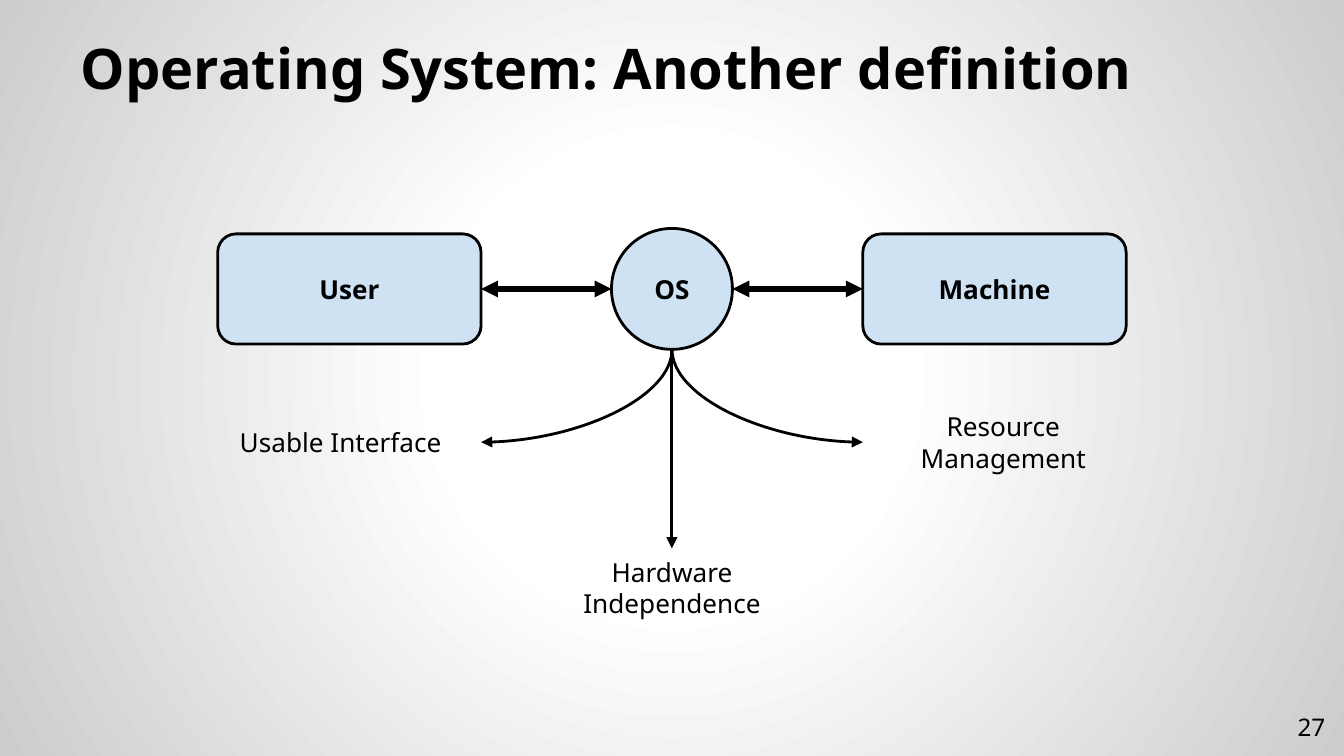
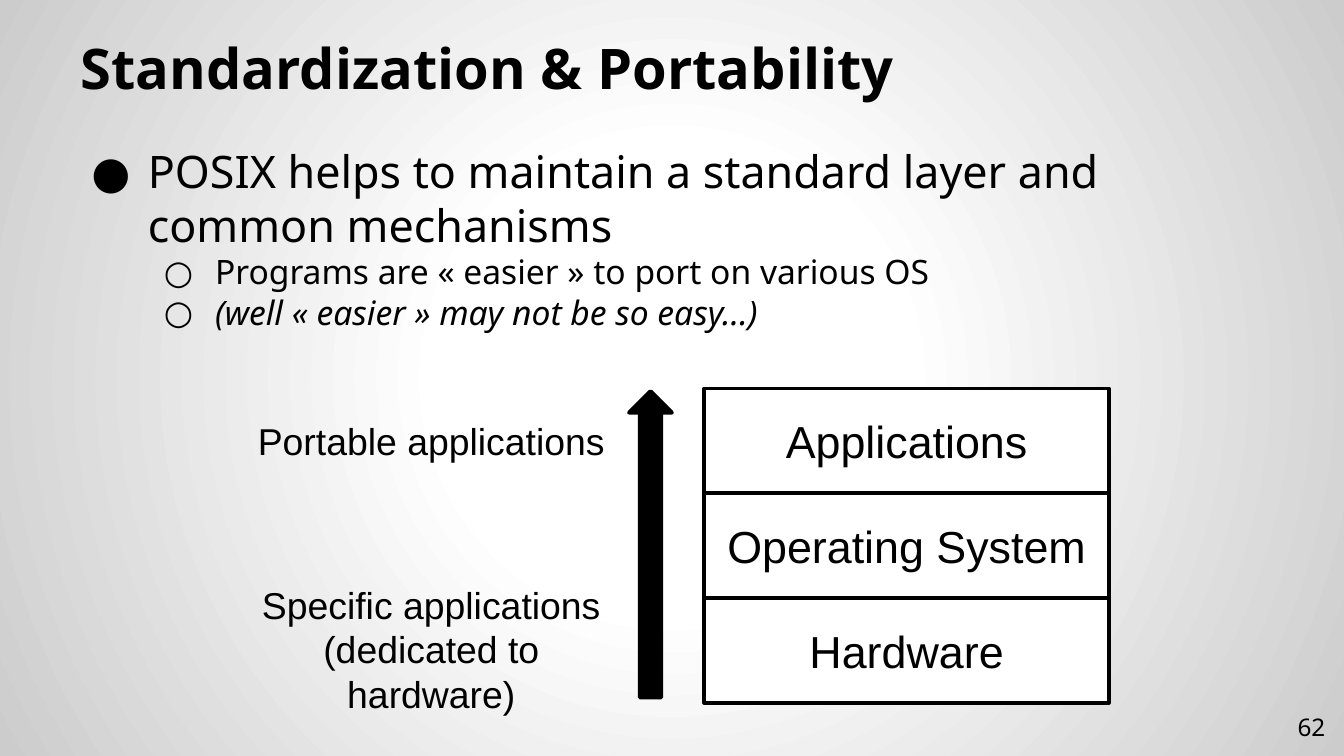
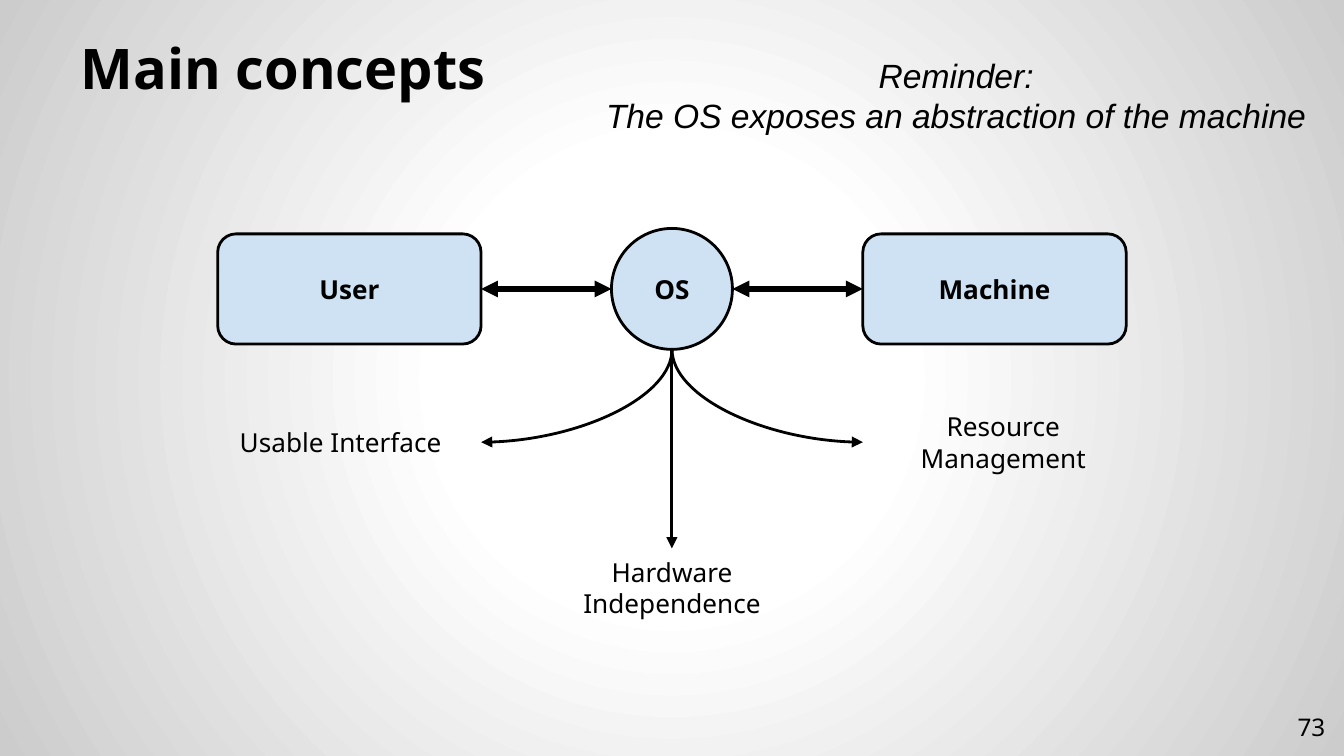
from dataclasses import dataclass

from lxml.etree import SubElement
from pptx import Presentation
from pptx.dml.color import RGBColor
from pptx.enum.shapes import MSO_CONNECTOR, MSO_SHAPE
from pptx.enum.text import MSO_ANCHOR, MSO_AUTO_SIZE, PP_ALIGN
from pptx.oxml import parse_xml
from pptx.oxml.ns import nsdecls, qn
from pptx.util import Inches, Pt


@dataclass(frozen=True)
class Theme:
    ink: str = "000000"
    paper: str = "FFFFFF"
    edge: str = "CCCCCC"
    node: str = "CFE2F3"
    font: str = "Noto Sans"
    diagram_font: str = "Arial"
    title: int = 30
    body: int = 24
    sub_body: int = 18
    note: int = 20
    label: int = 14
    page: int = 13


THEME = Theme()
WIDTH, HEIGHT = 10, 5.625
CENTRE = WIDTH / 2
INSET = 0.1

# Content
SLIDES = [
    {"title": "Operating System: Another definition", "page": "27", "diagram": "concept"},
    {"title": "Standardization & Portability", "page": "62", "diagram": "layers",
     # level, text, italic
     "bullets": [
         (0, "POSIX helps to maintain a standard layer and common mechanisms", False),
         (1, "Programs are « easier » to port on various OS", False),
         (1, "(well « easier » may not be so easy…)", True),
     ]},
    {"title": "Main concepts", "page": "73", "diagram": "concept",
     "reminder": ["Reminder:", "The OS exposes an abstraction of the machine"]},
]
ACTORS = {"left": "User", "hub": "OS", "right": "Machine"}
ROLES = {"left": "Usable Interface", "below": "Hardware Independence",
         "right": "Resource Management"}
LAYERS = ["Applications", "Operating System", "Hardware"]
# top, height, lines
PORTABILITY_NOTES = [
    (3.06, 0.44, ["Portable applications"]),
    (4.28, 1.11, ["Specific applications", "(dedicated to hardware)"]),
]
# marker, hanging indent and type size for each list level
LEVELS = [("●", 0.42, THEME.body), ("○", 0.38, THEME.sub_body)]


# Shared helpers
def color(value):
    return RGBColor.from_string(value)


def box(left, top, width, height):
    return [Inches(value) for value in (left, top, width, height)]


def place(shape, left, top, width, height):
    shape.left, shape.top, shape.width, shape.height = box(left, top, width, height)


def add_run(paragraph, text, size, font=THEME.font, bold=False, italic=False):
    run = paragraph.add_run()
    run.text = text
    run.font.name, run.font.size = font, Pt(size)
    run.font.bold, run.font.italic = bold, italic
    run.font.color.rgb = color(THEME.ink)


def set_frame(frame, anchor=MSO_ANCHOR.MIDDLE, vertical_inset=INSET,
              auto_size=MSO_AUTO_SIZE.NONE):
    frame.word_wrap = True
    frame.auto_size = auto_size
    frame.vertical_anchor = anchor
    frame.margin_left = frame.margin_right = Inches(INSET)
    frame.margin_top = frame.margin_bottom = Inches(vertical_inset)


def write_lines(frame, lines, size, align=PP_ALIGN.CENTER, **style):
    for index, line in enumerate(lines):
        paragraph = frame.add_paragraph() if index else frame.paragraphs[0]
        paragraph.alignment = align
        add_run(paragraph, line, size, **style)


def add_label(slide, bounds, text, size=THEME.label, align=PP_ALIGN.CENTER):
    frame = slide.shapes.add_textbox(*box(*bounds)).text_frame
    set_frame(frame)
    write_lines(frame, [text], size, align)


def add_note(slide, bounds, lines, size, italic=False):
    frame = slide.shapes.add_textbox(*box(*bounds)).text_frame
    set_frame(frame, MSO_ANCHOR.TOP, INSET / 2, MSO_AUTO_SIZE.SHAPE_TO_FIT_TEXT)
    write_lines(frame, lines, size, font=THEME.diagram_font, italic=italic)


def add_block(slide, kind, bounds, fill, line_width):
    shape = slide.shapes.add_shape(kind, *box(*bounds))
    shape.shadow.inherit = False
    shape.fill.solid()
    shape.fill.fore_color.rgb = color(fill)
    shape.line.color.rgb = color(THEME.ink)
    shape.line.width = Pt(line_width)
    return shape


def add_arrow(slide, kind, start, end, line_width, ends):
    connector = slide.shapes.add_connector(
        kind, *[Inches(value) for value in (*start, *end)])
    connector.line.color.rgb = color(THEME.ink)
    connector.line.width = Pt(line_width)
    properties = connector._element.spPr
    line = properties.find(qn("a:ln"))
    for end_name in ends:
        SubElement(line, qn(f"a:{end_name}"), type="triangle")
    SubElement(properties, qn("a:effectLst"))
    return connector


def add_drop_curve(slide, start, end):
    """Curve that leaves its start downwards: a sideways curve, turned upright."""
    across, down = end[0] - start[0], end[1] - start[1]
    middle_x, middle_y = start[0] + across / 2, start[1] + down / 2
    side = -1 if across < 0 else 1
    half_width, half_height = side * down / 2, abs(across) / 2
    connector = add_arrow(slide, MSO_CONNECTOR.CURVE,
                          (middle_x + half_width, middle_y - half_height),
                          (middle_x - half_width, middle_y + half_height),
                          1.5, ["tailEnd"])
    properties = connector._element.spPr
    degrees = 270 if side > 0 else 90
    properties.find(qn("a:xfrm")).set("rot", str(degrees * 60000))
    if across:
        properties.find(qn("a:prstGeom")).set("prst", "curvedConnector2")


# Background, title, list and page number
def set_background(master):
    master.background.fill.solid()
    solid = next(master._element.iter(qn("p:bgPr"))).find(qn("a:solidFill"))
    stops = [(0, THEME.paper), (30, THEME.paper), (100, THEME.edge)]
    stop_xml = "".join(f'<a:gs pos="{share * 1000}"><a:srgbClr val="{value}"/></a:gs>'
                       for share, value in stops)
    gradient = parse_xml(
        f'<a:gradFill {nsdecls("a")} rotWithShape="1"><a:gsLst>{stop_xml}</a:gsLst>'
        '<a:path path="circle"><a:fillToRect l="50000" t="50000" r="50000" b="50000"/>'
        '</a:path></a:gradFill>')
    solid.getparent().replace(solid, gradient)


def add_title(slide, text):
    title = slide.shapes.title
    place(title, 0.5, 0.23, 9, 0.62)
    set_frame(title.text_frame, MSO_ANCHOR.BOTTOM)
    write_lines(title.text_frame, [text], THEME.title, PP_ALIGN.LEFT, bold=True)


def add_bullets(slide, bullets):
    body = slide.placeholders[1]
    place(body, 0.5, 0.97, 9, 4.41)
    frame = body.text_frame
    set_frame(frame, MSO_ANCHOR.TOP)
    for index, (level, text, italic) in enumerate(bullets):
        marker, hanging, size = LEVELS[level]
        paragraph = frame.add_paragraph() if index else frame.paragraphs[0]
        paragraph.level = level
        properties = paragraph._p.get_or_add_pPr()
        properties.set("marL", str(Inches(0.5 * (level + 1))))
        properties.set("indent", str(-Inches(hanging)))
        bullet_color = SubElement(properties, qn("a:buClr"))
        SubElement(bullet_color, qn("a:srgbClr"), val=THEME.ink)
        SubElement(properties, qn("a:buFont"), typeface=THEME.font)
        SubElement(properties, qn("a:buChar"), char=marker)
        paragraph.space_before = Pt(0)
        add_run(paragraph, text, size, italic=italic)


# Diagrams
def draw_concept(slide):
    axis, diameter, gap = 2.15, 0.9, 0.97
    node_width, node_height = 1.96, 0.82
    role_width, role_height = 2.09, 0.58
    reach = diameter / 2 + gap
    left_edge, right_edge = CENTRE - reach, CENTRE + reach
    curve_end, drop_end = 3.29, 4.08

    # User, machine and the system between them
    node_top = axis - node_height / 2
    radius = diameter / 2
    nodes = {
        "left": (MSO_SHAPE.ROUNDED_RECTANGLE,
                 (left_edge - node_width, node_top, node_width, node_height)),
        "right": (MSO_SHAPE.ROUNDED_RECTANGLE,
                  (right_edge, node_top, node_width, node_height)),
        "hub": (MSO_SHAPE.OVAL, (CENTRE - radius, axis - radius, diameter, diameter)),
    }
    shapes = {}
    for name, (kind, bounds) in nodes.items():
        shapes[name] = add_block(slide, kind, bounds, THEME.node, 1.5)
        set_frame(shapes[name].text_frame)
        write_lines(shapes[name].text_frame, [ACTORS[name]], THEME.label, bold=True)

    # Two-way arrows
    both = ["headEnd", "tailEnd"]
    user_link = add_arrow(slide, MSO_CONNECTOR.STRAIGHT, (left_edge, axis),
                          (CENTRE - radius, axis), 3, both)
    user_link.begin_connect(shapes["left"], 3)
    machine_link = add_arrow(slide, MSO_CONNECTOR.STRAIGHT, (CENTRE + radius, axis),
                             (right_edge, axis), 3, both)
    machine_link.end_connect(shapes["right"], 1)

    # Roles of the system and the curves that lead to them
    side_top = curve_end - role_height / 2
    roles = {
        "left": (left_edge - role_width, side_top, (left_edge, curve_end)),
        "below": (CENTRE - role_width / 2, drop_end, (CENTRE, drop_end)),
        "right": (right_edge, side_top, (right_edge, curve_end)),
    }
    for name, (left, top, target) in roles.items():
        add_label(slide, (left, top, role_width, role_height), ROLES[name])
        add_drop_curve(slide, (CENTRE, axis + radius), target)


def draw_layers(slide):
    left, top, width, height = 5.24, 2.89, 3.01, 0.78
    for row, name in enumerate(LAYERS):
        layer = add_block(slide, MSO_SHAPE.RECTANGLE,
                          (left, top + row * height, width, height), THEME.paper, 2)
        set_frame(layer.text_frame, vertical_inset=INSET / 2)
        write_lines(layer.text_frame, [name], THEME.body, font=THEME.diagram_font)

    # Portability scale
    note_left, note_width = 1.74, 2.94
    arrow = add_block(slide, MSO_SHAPE.DOWN_ARROW,
                      (note_left + note_width, 2.91, 0.32, 2.28), THEME.ink, 2)
    arrow.rotation = 180
    for note_top, note_height, lines in PORTABILITY_NOTES:
        add_note(slide, (note_left, note_top, note_width, note_height), lines, THEME.note)


DIAGRAMS = {"concept": draw_concept, "layers": draw_layers}


def main():
    presentation = Presentation()
    presentation.slide_width, presentation.slide_height = Inches(WIDTH), Inches(HEIGHT)
    set_background(presentation.slide_master)
    list_layout, title_layout = (presentation.slide_layouts[index] for index in (1, 5))

    for content in SLIDES:
        bullets = content.get("bullets")
        slide = presentation.slides.add_slide(list_layout if bullets else title_layout)
        add_title(slide, content["title"])
        if bullets:
            add_bullets(slide, bullets)
        DIAGRAMS[content["diagram"]](slide)
        add_label(slide, (9.36, 5.19, 0.6, 0.43), content["page"],
                  THEME.page, PP_ALIGN.RIGHT)
        if "reminder" in content:
            add_note(slide, (4.41, 0.36, 5.41, 0.71), content["reminder"],
                     THEME.sub_body, italic=True)

    presentation.save("out.pptx")


if __name__ == "__main__":
    main()
